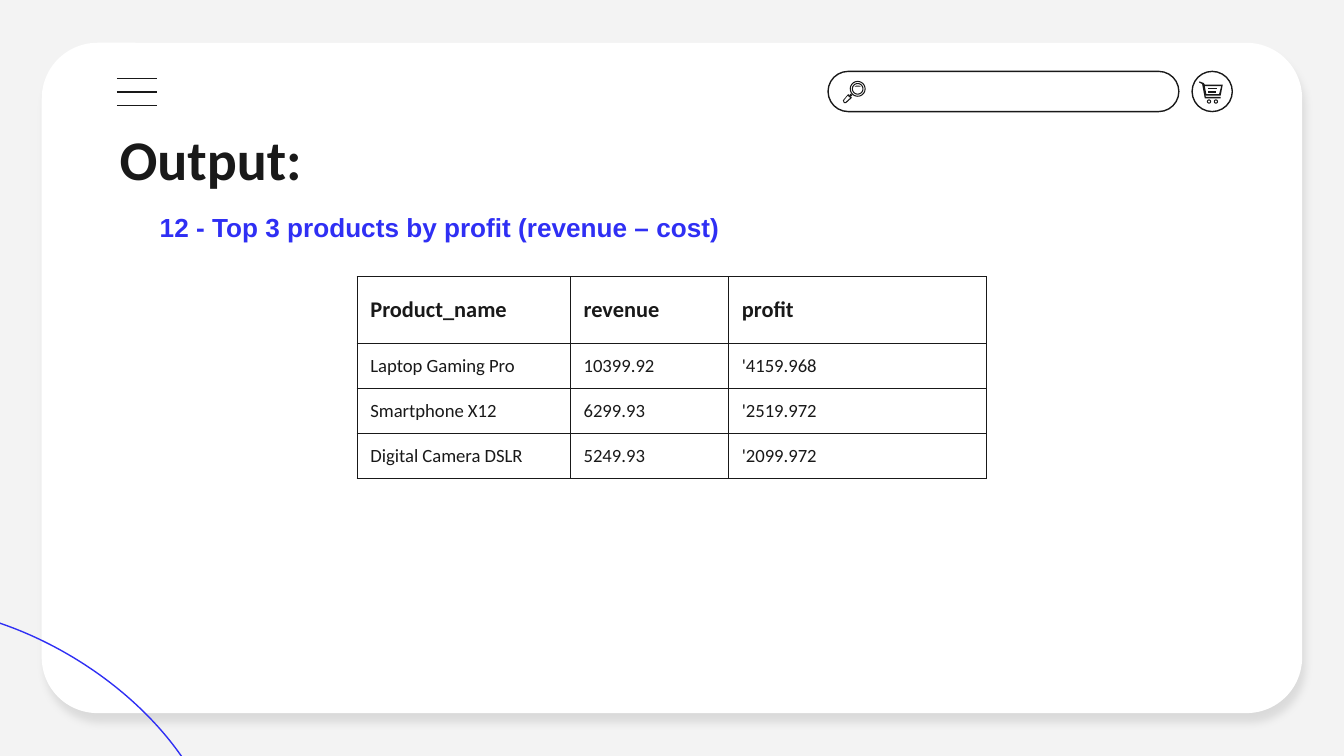
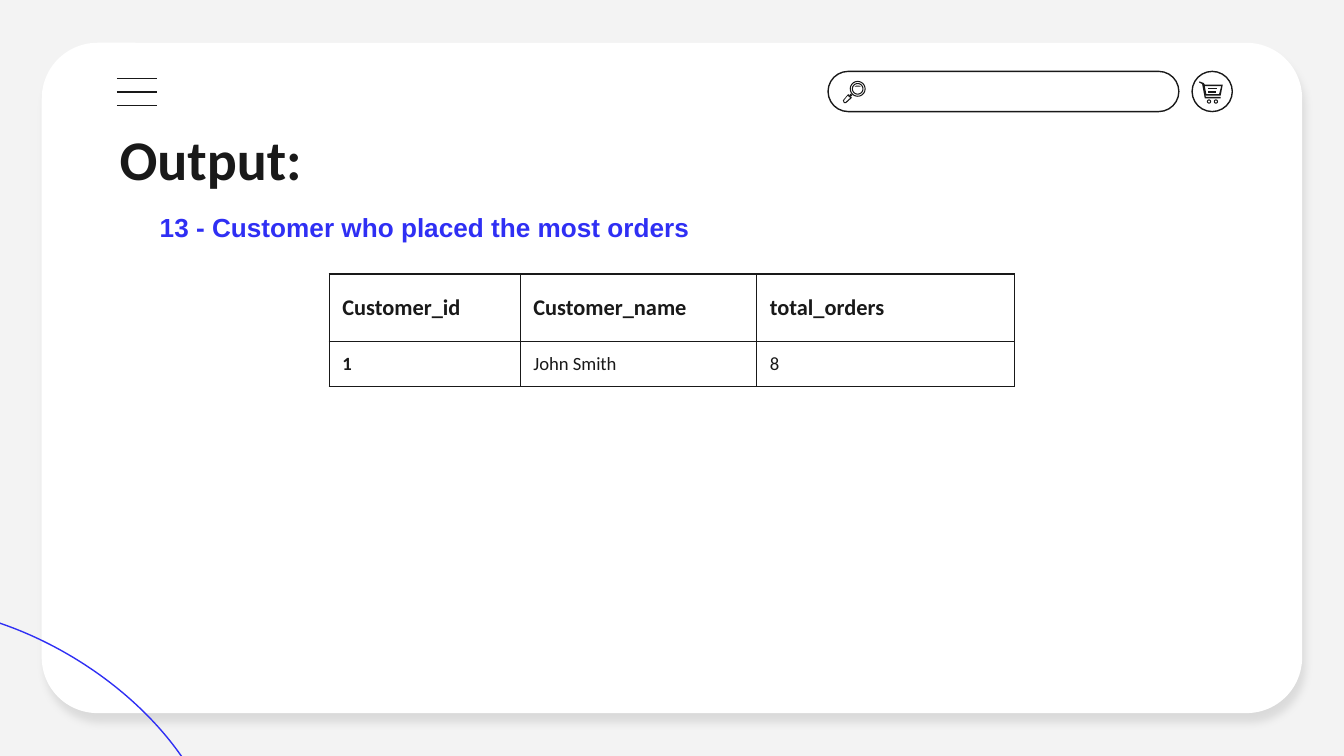
"""Build two query-output slides on a shared browser-window layout."""
import dataclasses
import math

import pptx
import pptx.dml.color
import pptx.enum.shapes
import pptx.enum.text
import pptx.oxml
import pptx.oxml.ns
import pptx.util
from pptx.util import Cm


@dataclasses.dataclass(frozen=True)
class Theme:
    ink: str = "191919"
    accent: str = "2F2FF4"
    card: str = "FFFFFF"
    backdrop: str = "F3F3F3"
    body_font: str = "Calibri"
    query_font: str = "Arial"
    title_size: int = 30
    query_size: int = 14
    header_size: int = 12
    cell_size: int = 10
    line_width: float = 0.75


THEME = Theme()
SHAPES = pptx.enum.shapes.MSO_SHAPE
ANCHORS = pptx.enum.text.MSO_ANCHOR
RGB = pptx.dml.color.RGBColor.from_string
QN = pptx.oxml.ns.qn
NAMESPACE = pptx.oxml.ns.nsdecls("a")
INSET = Cm(0.25)


def circle(center_x, center_y, radius):
    angles = [math.tau * step / 32 for step in range(32)]
    return [(center_x + radius * math.cos(a), center_y + radius * math.sin(a)) for a in angles]


def write_text(frame, text, font, size, color, bold):
    paragraph = frame.paragraphs[0]
    paragraph.text = text
    paragraph.alignment = pptx.enum.text.PP_ALIGN.LEFT
    paragraph.font.name = font
    paragraph.font.size = pptx.util.Pt(size)
    paragraph.font.color.rgb = RGB(color)
    paragraph.font.bold = bold


deck = pptx.Presentation()
deck.slide_width, deck.slide_height = Cm(25.4), Cm(14.29)
layout = deck.slide_layouts.get_by_name("Title Only")
layout.background.fill.solid()
layout.background.fill.fore_color.rgb = RGB(THEME.backdrop)
for placeholder in list(layout.placeholders)[1:]:
    layout.shapes.element.remove(placeholder.element)

pages = [deck.slides.add_slide(layout) for _ in range(2)]
canvas = pages[0].shapes

card = canvas.add_shape(SHAPES.ROUNDED_RECTANGLE, Cm(0.79), Cm(0.81), Cm(23.82), Cm(12.67))
card.adjustments[0] = 0.083
card.fill.solid()
card.fill.fore_color.rgb = RGB(THEME.card)
card.line.fill.background()
card.shadow.inherit = False
card.element.spPr.find(QN("a:effectLst")).append(pptx.oxml.parse_xml(
    f'<a:outerShdw {NAMESPACE} blurRad="57150" dist="76200" dir="4080000" algn="bl" rotWithShape="0">'
    '<a:srgbClr val="000000"><a:alpha val="10000"/></a:srgbClr></a:outerShdw>'))

OUTLINES = [
    (SHAPES.OVAL, -4.8, 12.01, 9.35, 5.87, 31.1, THEME.accent),
    (SHAPES.ROUNDED_RECTANGLE, 15.65, 1.35, 6.63, 0.76, 0, THEME.ink),
    (SHAPES.OVAL, 22.53, 1.35, 0.76, 0.76, 0, THEME.ink),
]
for kind, left, top, width, height, rotation, color in OUTLINES:
    outline = canvas.add_shape(kind, Cm(left), Cm(top), Cm(width), Cm(height))
    if kind == SHAPES.ROUNDED_RECTANGLE:
        outline.adjustments[0] = 0.5
    outline.rotation = rotation
    outline.fill.background()
    outline.line.color.rgb = RGB(color)
    outline.line.width = pptx.util.Pt(THEME.line_width)
    outline.shadow.inherit = False

for bar in range(3):
    height = Cm(1.48 + 0.26 * bar)
    menu_line = canvas.add_connector(
        pptx.enum.shapes.MSO_CONNECTOR.STRAIGHT, Cm(2.21), height, Cm(2.97), height)
    menu_line.line.color.rgb = RGB(THEME.ink)
    menu_line.line.width = pptx.util.Pt(THEME.line_width)
    menu_line.element.spPr.append(pptx.oxml.parse_xml(f"<a:effectLst {NAMESPACE}/>"))

ICON_PARTS = [
    [circle(16.21, 1.68, 0.15), circle(16.21, 1.68, 0.13)],
    [circle(16.21, 1.68, 0.11), circle(16.21, 1.68, 0.09)],
    [[(16.15, 1.64), (16.18, 1.62), (16.24, 1.62), (16.27, 1.64), (16.21, 1.64)]],
    [[(16.05, 1.8), (16.08, 1.77), (16.11, 1.8), (16.08, 1.83)]],
    [[(16.03, 1.78), (16.1, 1.85), (15.99, 1.95), (15.95, 1.95), (15.93, 1.9)],
     [(16.02, 1.81), (16.07, 1.85), (15.98, 1.93), (15.96, 1.93), (15.95, 1.9)]],
    [circle(22.85, 1.92, 0.04), circle(22.85, 1.92, 0.02)],
    [circle(22.98, 1.92, 0.04), circle(22.98, 1.92, 0.02)],
    [[(22.83, 1.67), (23.01, 1.67), (23.01, 1.69), (22.83, 1.69)]],
    [[(22.84, 1.73), (22.99, 1.73), (22.99, 1.75), (22.84, 1.75)]],
    [[(22.67, 1.54), (22.75, 1.57), (22.77, 1.6), (23.11, 1.6), (23.07, 1.81), (22.78, 1.81),
      (22.79, 1.83), (23.07, 1.83), (23.07, 1.86), (22.77, 1.86), (22.72, 1.59), (22.66, 1.56)],
     [(23.08, 1.63), (23.04, 1.78), (22.8, 1.78), (22.77, 1.63)]],
]
for contours in ICON_PARTS:
    scaled = [[(x * 1000, y * 1000) for x, y in contour] for contour in contours]
    builder = canvas.build_freeform(*scaled[0][0], scale=Cm(0.001))
    builder.add_line_segments(scaled[0][1:])
    for hole in scaled[1:]:
        builder.move_to(*hole[0])
        builder.add_line_segments(hole[1:])
    icon = builder.convert_to_shape()
    icon.fill.solid()
    icon.fill.fore_color.rgb = RGB(THEME.ink)
    icon.line.fill.background()
    icon.shadow.inherit = False

for shape in list(canvas):
    if not shape.is_placeholder:
        layout.shapes.element.append(shape.element)

RESULTS = [
    {"query": "12 - Top 3 products by profit (revenue – cost)", "query_width": 12.42,
     "left": 6.75, "top": 5.23, "columns": [4.03, 2.99, 4.88], "bold_key": False,
     "rows": [["Product_name", "revenue", "profit"],
              ["Laptop Gaming Pro", "10399.92", "'4159.968"],
              ["Smartphone X12", "6299.93", "'2519.972"],
              ["Digital Camera DSLR", "5249.93", "'2099.972"]]},
    {"query": "13 - Customer who placed the most orders", "query_width": 11.56,
     "left": 6.22, "top": 5.18, "columns": [3.61, 4.47, 4.88], "bold_key": True,
     "rows": [["Customer_id", "Customer_name", "total_orders"],
              ["1", "John Smith", "8"]]},
]
for page, result in zip(pages, RESULTS):
    title = page.shapes.title
    title.left, title.top, title.width, title.height = Cm(2.01), Cm(2.11), Cm(21.41), Cm(1.6)
    write_text(title.text_frame, "Output:", THEME.body_font, THEME.title_size, THEME.ink, True)

    rows, columns = result["rows"], result["columns"]
    heights = [1.27] + [0.85] * (len(rows) - 1)
    grid = page.shapes.add_table(len(rows), len(columns), Cm(result["left"]), Cm(result["top"]),
                                 Cm(sum(columns)), Cm(sum(heights)))
    table = grid.table
    table.horz_banding = False
    table.first_row = False
    for column, width in zip(table.columns, columns):
        column.width = Cm(width)
    for row, height in zip(table.rows, heights):
        row.height = Cm(height)
    for index, (cell, element) in enumerate(zip(table.iter_cells(), grid.element.iter(QN("a:tc")))):
        row, column = divmod(index, len(columns))
        header = row == 0
        for side in ("lnL", "lnR", "lnT", "lnB"):
            element.get_or_add_tcPr().append(pptx.oxml.parse_xml(
                f'<a:{side} {NAMESPACE} w="{pptx.util.Pt(THEME.line_width)}"><a:solidFill>'
                f'<a:srgbClr val="{THEME.ink}"/></a:solidFill></a:{side}>'))
        cell.fill.background()
        cell.vertical_anchor = ANCHORS.MIDDLE
        cell.margin_left = cell.margin_right = INSET
        cell.margin_top = cell.margin_bottom = Cm(0.13 if header else 0)
        write_text(cell.text_frame, rows[row][column], THEME.body_font,
                   THEME.header_size if header else THEME.cell_size, THEME.ink,
                   header or (result["bold_key"] and column == 0))

    query = page.shapes.add_textbox(Cm(2.77), Cm(3.56), Cm(result["query_width"]), Cm(1.27))
    write_text(query.text_frame, result["query"], THEME.query_font, THEME.query_size,
               THEME.accent, True)
    for box, anchor in ((title, ANCHORS.TOP), (query, ANCHORS.BOTTOM)):
        frame = box.text_frame
        frame.word_wrap = True
        frame.auto_size = pptx.enum.text.MSO_AUTO_SIZE.NONE
        frame.vertical_anchor = anchor
        frame.margin_left = frame.margin_right = INSET
        frame.margin_top = frame.margin_bottom = INSET

deck.save("out.pptx")
